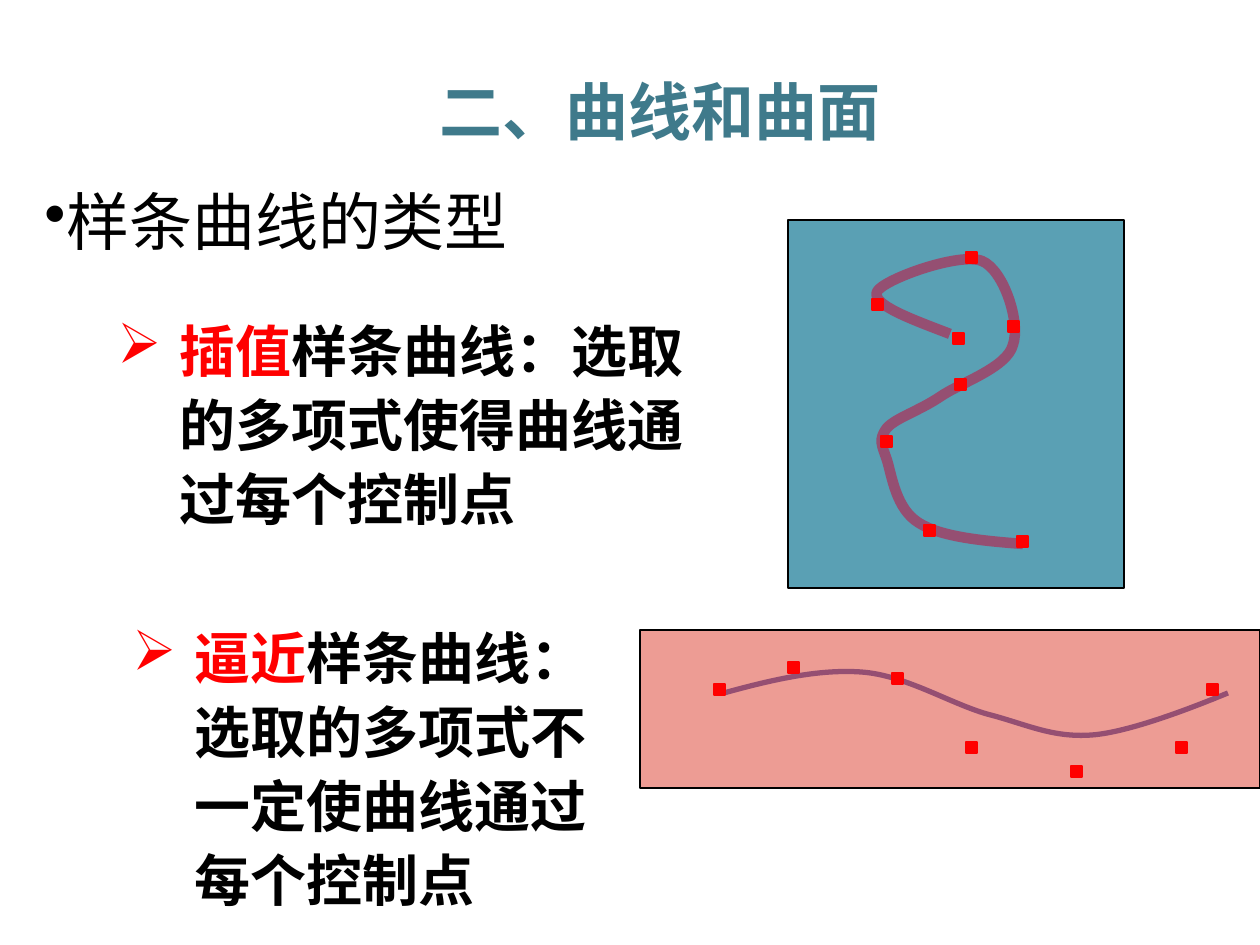
from dataclasses import dataclass

from lxml import etree
from pptx import Presentation
from pptx import util as u
from pptx.dml.color import RGBColor
from pptx.enum import text
from pptx.enum.shapes import MSO_SHAPE
from pptx.oxml.ns import qn

PX = 914400 / 126
RED, BLACK, PURPLE, TEAL_TEXT = "FF0000", "000000", "954F72", "3F7A8B"
CJK = "Noto Sans CJK SC"
MARKER = 11  # side of a control point

Point = tuple[int, int]
Box = tuple[int, int, int, int]


@dataclass
class Figure:
    """A panel with a spline and its control points."""
    panel: Box
    fill: str
    curve: list[Point]  # start, then three points per Bézier segment
    weight: int
    controls: list[Point]  # top left corners


@dataclass
class Caption:
    box: Box
    runs: list[tuple[str, str]]  # wording, colour
    size: int
    font: str = CJK
    bold: bool = True
    bullet: str = ""
    indent: int = 0
    spacing: float = 1.0
    centred: bool = False


def px(length: int) -> u.Emu:
    return u.Emu(round(length * PX))


def rgb(value: str) -> RGBColor:
    return RGBColor.from_string(value)


def add_box(slide, box: Box, fill: str, line: str) -> None:
    rect = slide.shapes.add_shape(MSO_SHAPE.RECTANGLE, *map(px, box))
    rect.shadow.inherit = False
    rect.fill.solid()
    rect.fill.fore_color.rgb = rgb(fill)
    rect.line.color.rgb = rgb(line)
    rect.line.width = u.Pt(0.75)


def add_curve(slide, points: list[Point], weight: int) -> None:
    builder = slide.shapes.build_freeform(*points[0], scale=PX)
    builder.add_line_segments(points[1:], close=False)
    curve = builder.convert_to_shape()
    curve.shadow.inherit = False
    curve.fill.background()
    curve.line.color.rgb = rgb(PURPLE)
    curve.line.width = u.Pt(weight)
    # Turn every three straight segments into one Bézier segment
    outline = curve._element.find(".//" + qn("a:path"))
    steps = outline.findall(qn("a:lnTo"))
    for i in range(0, len(steps), 3):
        bezier = etree.SubElement(outline, qn("a:cubicBezTo"))
        for step in steps[i:i + 3]:
            bezier.append(step[0])
            outline.remove(step)


def add_figure(slide, figure: Figure) -> None:
    add_box(slide, figure.panel, figure.fill, BLACK)
    add_curve(slide, figure.curve, figure.weight)
    for x, y in figure.controls:
        add_box(slide, (x, y, MARKER, MARKER), RED, RED)


def add_caption(slide, caption: Caption) -> None:
    frame = slide.shapes.add_textbox(*map(px, caption.box)).text_frame
    frame.word_wrap = True
    paragraph = frame.paragraphs[0]
    paragraph.line_spacing = caption.spacing
    if caption.centred:
        paragraph.alignment = text.PP_ALIGN.CENTER
    if caption.bullet:
        props = paragraph._p.get_or_add_pPr()
        props.set("marL", str(px(caption.indent)))
        props.set("indent", str(px(-caption.indent)))
        etree.SubElement(props, qn("a:buChar"), char=caption.bullet)
    paragraph.font.name = caption.font
    paragraph.font.size = u.Pt(caption.size)
    paragraph.font.bold = caption.bold
    for wording, colour in caption.runs:
        run = paragraph.add_run()
        run.text = wording
        run.font.color.rgb = rgb(colour)


approximation = Figure(
    (640, 630, 620, 158), "ED9C94",
    [(724, 693), (771, 680), (818, 669), (861, 672),
     (905, 675), (949, 703), (987, 714),
     (1026, 724), (1052, 738), (1092, 735),
     (1133, 732), (1206, 702), (1228, 693)],
    3,
    [(714, 684), (788, 662), (892, 673), (966, 742),
     (1071, 766), (1176, 742), (1207, 684)])

interpolation = Figure(
    (788, 220, 336, 368), "5AA0B4",
    [(950, 334), (911, 319), (872, 305), (877, 292),
     (882, 280), (959, 252), (982, 261),
     (1004, 270), (1021, 323), (1013, 345),
     (1007, 368), (960, 383), (940, 397),
     (919, 411), (896, 418), (887, 428),
     (878, 440), (882, 445), (887, 460),
     (892, 476), (896, 509), (919, 523),
     (941, 537), (983, 541), (1023, 544)],
    6,
    [(953, 333), (872, 299), (966, 252), (1008, 321),
     (955, 379), (881, 436), (924, 525), (1017, 536)])

captions = [
    Caption((241, 66, 838, 89), [("二、曲线和曲面", TEAL_TEXT)], 36, centred=True),
    Caption((32, 185, 651, 81), [("样条曲线的类型", BLACK)], 36, "Arial", False,
            "•", 18, 0.9),
    Caption((105, 304, 605, 234),
            [("插值", RED), ("样条曲线：选取的多项式使得曲线通过每个控制点", BLACK)],
            32, bullet="➢", indent=62, spacing=1.1),
    Caption((120, 611, 510, 309),
            [("逼近", RED), ("样条曲线：选取的多项式不一定使曲线通过每个控制点", BLACK)],
            32, bullet="➢", indent=62, spacing=1.1),
]

prs = Presentation()
prs.slide_width, prs.slide_height = px(1260), px(945)
slide = prs.slides.add_slide(prs.slide_layouts[6])

# Figures
for figure in (approximation, interpolation):
    add_figure(slide, figure)

# Title, heading and explanations
for caption in captions:
    add_caption(slide, caption)

prs.save("out.pptx")
